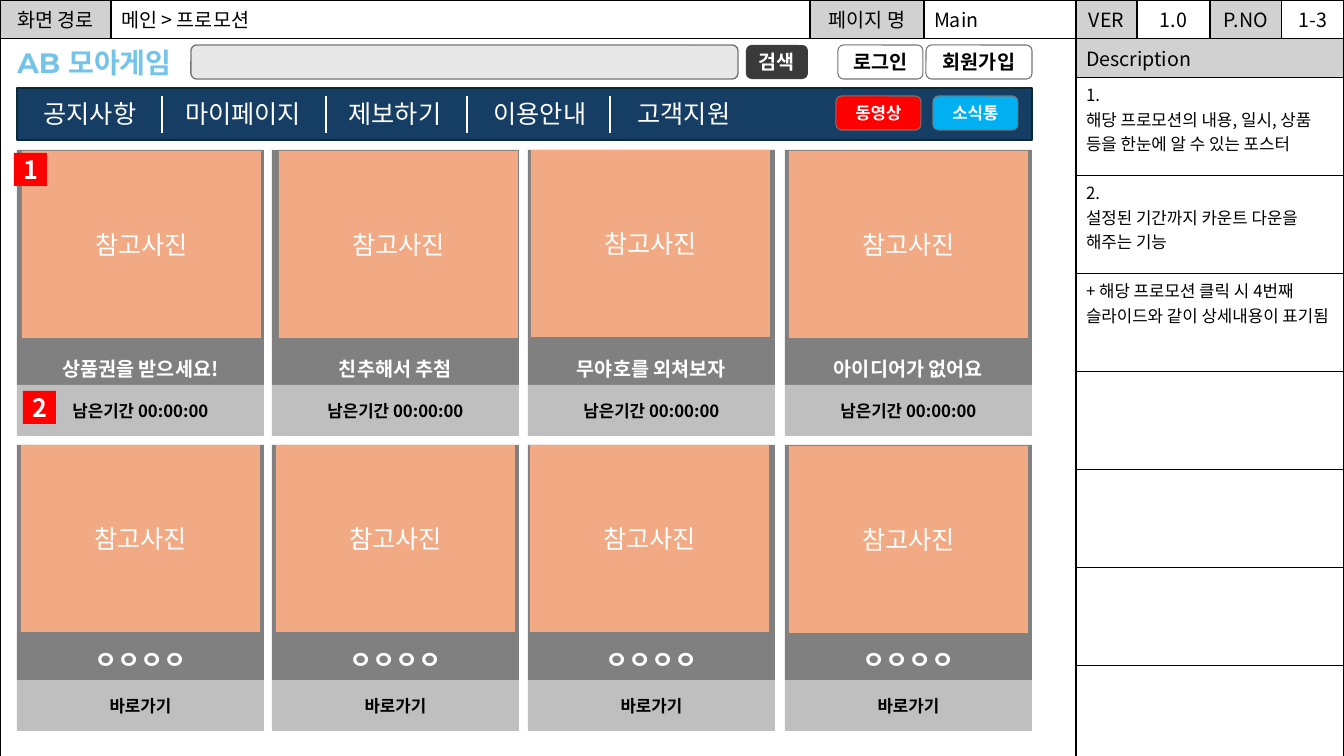
from lxml import etree
from pptx import Presentation
from pptx import util as u
from pptx.dml.color import RGBColor
from pptx.enum import shapes, text
from pptx.oxml import ns

SCALE = 914400 / 100.8
KOREAN = "Noto Sans CJK KR"
RECT = shapes.MSO_SHAPE.RECTANGLE
ROUND = shapes.MSO_SHAPE.ROUNDED_RECTANGLE
MIDDLE = text.MSO_ANCHOR.MIDDLE
LEFT, CENTER = text.PP_ALIGN.LEFT, text.PP_ALIGN.CENTER


def px(*lengths):
    return [u.Emu(round(length * SCALE)) for length in lengths]


def paint(target, color):
    target.solid()
    target.fore_color.rgb = RGBColor.from_string(color)


def write(para, words, size, color="000000", bold=False, align=CENTER, font=KOREAN):
    para.alignment = align
    span = para.add_run()
    span.text = words
    span.font.name = font
    span.font.size = u.Pt(size)
    span.font.bold = bold
    paint(span.font.fill, color)
    east_asian = etree.SubElement(span.font._element, ns.qn("a:ea"))
    east_asian.set("typeface", KOREAN)


def add_box(parent, box, fill, kind=RECT, line=None, width=0.75):
    shape = parent.add_shape(kind, *px(*box))
    shape.shadow.inherit = False
    paint(shape.fill, fill)
    if line:
        paint(shape.line.fill, line)
        shape.line.width = u.Pt(width)
    else:
        shape.line.fill.background()
    shape.text_frame.word_wrap = True
    shape.text_frame.vertical_anchor = MIDDLE
    return shape


def add_label_box(parent, box, fill, words, size, color="FFFFFF", bold=True, **look):
    shape = add_box(parent, box, fill, **look)
    write(shape.text_frame.paragraphs[0], words, size, color, bold)
    return shape


def add_text(parent, box, spans):
    frame = parent.add_textbox(*px(*box)).text_frame
    frame.word_wrap = True
    frame.vertical_anchor = MIDDLE
    frame.margin_left = frame.margin_right = 0
    frame.margin_top = frame.margin_bottom = 0
    for words, look in spans:
        write(frame.paragraphs[0], words, **look)


def outline_cell(cell):
    properties = cell._tc.get_or_add_tcPr()
    for position, side in enumerate(("a:lnL", "a:lnR", "a:lnT", "a:lnB")):
        edge = etree.Element(ns.qn(side), w="12700")
        fill = etree.SubElement(edge, ns.qn("a:solidFill"))
        etree.SubElement(fill, ns.qn("a:srgbClr"), val="000000")
        properties.insert(position, edge)


def fill_cell(cell, lines, size, align=LEFT, anchor=MIDDLE):
    cell.vertical_anchor = anchor
    for number, words in enumerate(lines):
        para = cell.text_frame.add_paragraph() if number else cell.text_frame.paragraphs[0]
        write(para, words, size, align=align)


def add_sheet(parent, box):
    columns = [111, 699, 114, 152, 61, 73, 72, 62]
    rows = [34] * 2 + [98] * 7
    headings = ["화면 경로", "메인 > 프로모션", "페이지 명", "Main", "VER", "1.0", "P.NO", "1-3"]
    left_aligned = (1, 3)
    notes = [
        ["1.", "해당 프로모션의 내용, 일시, 상품 등을 한눈에 알 수 있는 포스터"],
        ["2.", "설정된 기간까지 카운트 다운을 해주는 기능"],
        ["+ 해당 프로모션 클릭 시 4번째 슬라이드와 같이 상세내용이 표기됨"],
    ]
    table = parent.add_table(len(rows), len(columns), *px(*box)).table
    table.first_row = table.horz_banding = False
    for column, width in zip(table.columns, px(*columns)):
        column.width = width
    for row, height in zip(table.rows, px(*rows)):
        row.height = height
    for cell in table.iter_cells():
        paint(cell.fill, "FFFFFF")
        outline_cell(cell)
    table.cell(1, 0).merge(table.cell(8, 3))
    for row in range(1, 9):
        table.cell(row, 4).merge(table.cell(row, 7))
    for column, words in enumerate(headings):
        fill_cell(table.cell(0, column), [words], 14, LEFT if column in left_aligned else CENTER)
        if column % 2 == 0:
            paint(table.cell(0, column).fill, "D1D1D1")
    fill_cell(table.cell(1, 4), ["Description"], 14)
    paint(table.cell(1, 4).fill, "D1D1D1")
    for row, lines in enumerate(notes, 2):
        fill_cell(table.cell(row, 4), lines, 12, anchor=text.MSO_ANCHOR.TOP)


def add_search(parent, box):
    left, top, width, height = box
    brand = {"size": 20, "color": "74C4E9", "bold": True}
    add_text(parent, (left, top - 5, 177, height + 10),
             [("AB ", {**brand, "font": "Montserrat"}), ("모아게임", brand)])
    add_box(parent, (left + 185, top, 547, height), "E8E8E8", kind=ROUND, line="747474", width=1)
    add_label_box(parent, (left + 740, top, 62, height), "3A3A3A", "검색", 14, kind=ROUND)
    for offset, span, words in ((832, 85, "로그인"), (920, 106, "회원가입")):
        add_label_box(parent, (left + offset, top, span, height), "FFFFFF", words, 14,
                      "000000", kind=ROUND, line="747474")


def add_menu(parent, box):
    left, top, width, height = box
    group = parent.add_group_shape().shapes
    add_box(group, box, "163E64", line="092A39", width=1)
    labels = [(73, "공지사항"), (226, "마이페이지"), (378, "제보하기"), (523, "이용안내"), (667, "고객지원")]
    for center, words in labels:
        add_text(group, (left + center - 74, top + 5, 148, 40),
                 [(words, {"size": 18, "color": "FFFFFF"})])
    for offset in (145, 309, 450, 593):
        x = left + offset
        line = group.add_connector(shapes.MSO_CONNECTOR.STRAIGHT,
                                   *px(x, top + 8, x, top + 45))
        paint(line.line.fill, "FFFFFF")
        line.line.width = u.Pt(1.5)
        etree.SubElement(line._element.spPr, ns.qn("a:effectLst"))
    for offset, fill, words in ((819, "FF0000", "동영상"), (916, "00B0F0", "소식통")):
        add_label_box(group, (left + offset, top + 8, 85, 34), fill, words, 12,
                      kind=ROUND, line="747474")


def add_card(parent, box, title, title_size, footer, photo_shift):
    left, top, width, height = box
    shift_x, shift_y = photo_shift
    footer_height = 51
    body_height = height - footer_height
    body = add_label_box(parent, (left, top, width, body_height), "808080", title, title_size)
    body.text_frame.vertical_anchor = text.MSO_ANCHOR.BOTTOM
    add_label_box(parent, (left, top + body_height, width, footer_height), "BFBFBF",
                  footer, 12, "000000")
    add_label_box(parent, (left + shift_x, top + shift_y, 239, 187), "F2AA84",
                  "참고사진", 18, bold=False)


def add_card_row(parent, box, titles, title_size, footer, photo_shifts):
    left, top, width, height = box
    group = parent.add_group_shape().shapes
    for offset, title, shift in zip((0, 255, 511, 768), titles, photo_shifts):
        add_card(group, (left + offset, top, width - 768, height), title, title_size, footer, shift)


def add_badge(parent, box, number):
    badge = add_label_box(parent, box, "FF0000", number, 18)
    badge.text_frame.margin_left = badge.text_frame.margin_right = 0


def main():
    deck = Presentation()
    deck.slide_width, deck.slide_height = px(1344, 756)
    page = deck.slides.add_slide(deck.slide_layouts[6]).shapes
    add_sheet(page, (0, 0, 1344, 756))
    add_search(page, (6, 45, 1026, 34))
    add_menu(page, (17, 88, 1015, 52))
    promotions = ["상품권을 받으세요!", "친추해서 추첨", "무야호를 외쳐보자", "아이디어가 없어요"]
    add_card_row(page, (17, 150, 1015, 286), promotions, 14, "남은기간 00:00:00",
                 [(5, 1), (7, 1), (3, 0), (4, 1)])
    add_card_row(page, (17, 445, 1015, 286), ["ㅇㅇㅇㅇ"] * 4, 18, "바로가기",
                 [(4, 0), (4, 0), (2, 0), (4, 1)])
    add_badge(page, (14, 153, 33, 33), "1")
    add_badge(page, (23, 391, 33, 33), "2")
    deck.save("out.pptx")


if __name__ == "__main__":
    main()
